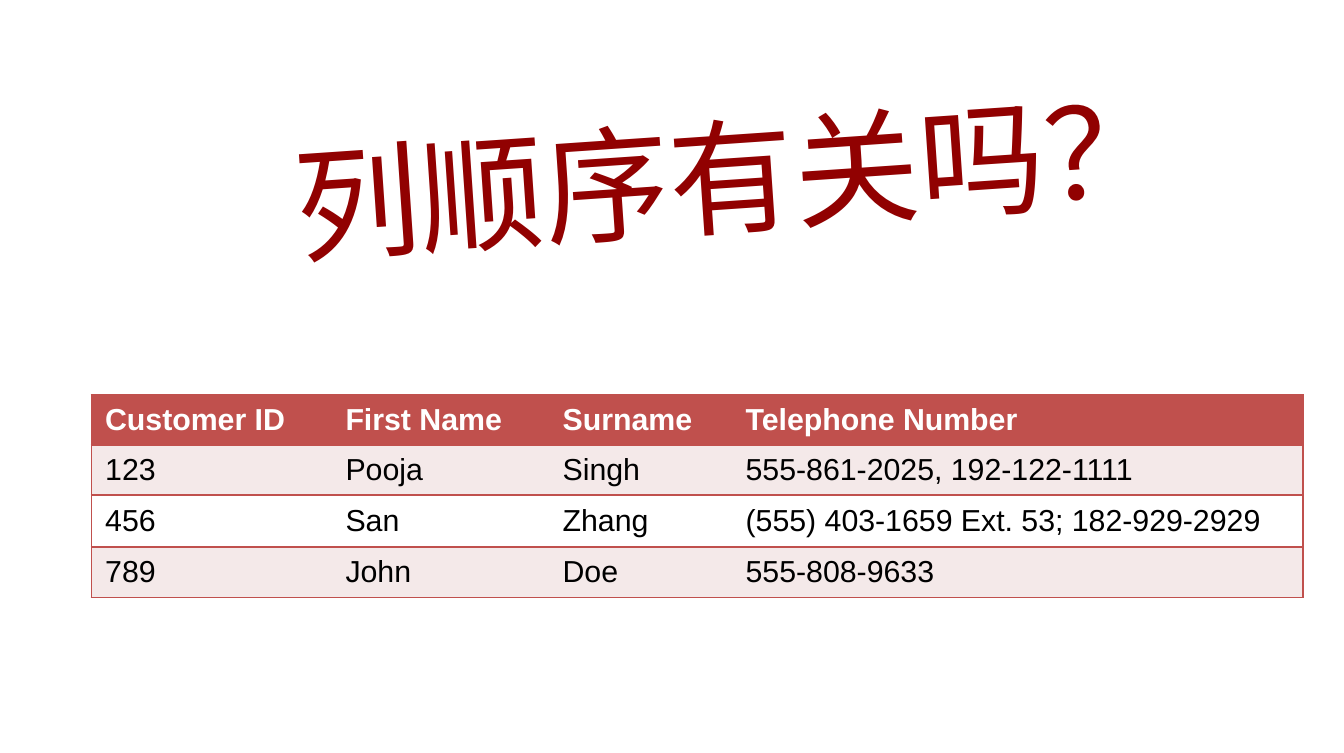
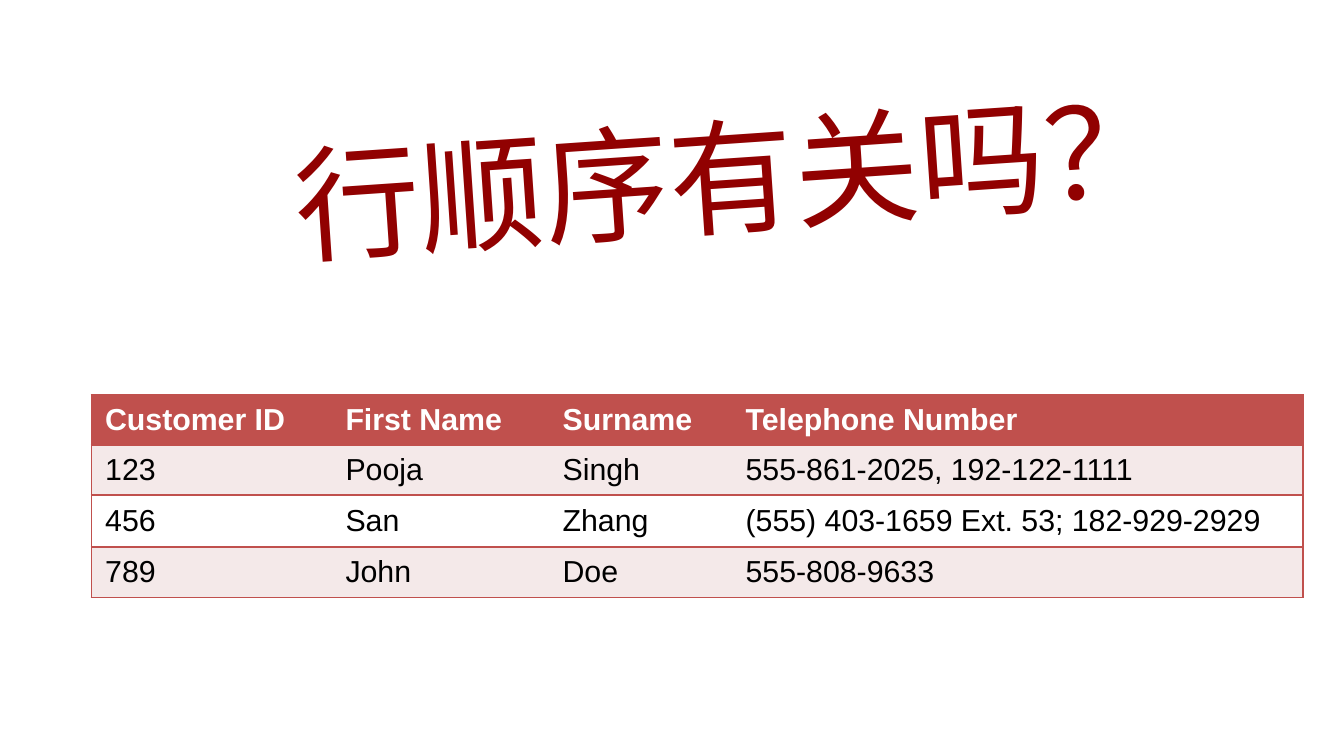
"""Builds two slides that ask whether column and row order matter in a table."""
from pptx import Presentation
from pptx.dml.color import RGBColor
from pptx.enum.text import MSO_ANCHOR, MSO_AUTO_SIZE, PP_ALIGN
from pptx.oxml import parse_xml
from pptx.oxml.ns import nsdecls
from pptx.util import Inches, Pt

QUESTIONS = ["列顺序有关吗？", "行顺序有关吗？"]
CUSTOMERS = [
    ("Customer ID", "First Name", "Surname", "Telephone Number"),
    ("123", "Pooja", "Singh", "555-861-2025, 192-122-1111"),
    ("456", "San", "Zhang", "(555) 403-1659 Ext. 53; 182-929-2929"),
    ("789", "John", "Doe", "555-808-9633"),
]
COLUMN_WIDTHS = [1.76, 1.59, 1.34, 4.18]
ROW_HEIGHTS = [0.36, 0.34, 0.38, 0.35]
FONT = "Arial"
TITLE_RED, HEADER_RED, BAND_PINK = "910101", "C0504D", "F4E9E9"
WHITE, BLACK = "FFFFFF", "000000"


def color(value):
    return RGBColor.from_string(value)


def style_text(paragraph, size, value, bold=False):
    font = paragraph.font
    font.name, font.size, font.bold = FONT, Pt(size), bold
    font.color.rgb = color(value)


def set_borders(cell, visible_sides):
    properties = cell._tc.get_or_add_tcPr()
    for position, side in enumerate("LRTB"):
        if side in visible_sides:
            paint = f'<a:solidFill><a:srgbClr val="{HEADER_RED}"/></a:solidFill>'
        else:
            paint = "<a:noFill/>"
        line = parse_xml(f'<a:ln{side} {nsdecls("a")} w="{Pt(1)}">{paint}</a:ln{side}>')
        properties.insert(position, line)


def add_question(slide, question):
    title = slide.shapes.title
    title.left, title.top = Inches(2.05), Inches(0.67)
    title.width, title.height = Inches(6.68), Inches(1.21)
    title.rotation = 356.1
    frame = title.text_frame
    frame.text = question
    frame.word_wrap = False
    frame.auto_size = MSO_AUTO_SIZE.SHAPE_TO_FIT_TEXT
    frame.vertical_anchor = MSO_ANCHOR.TOP
    paragraph = frame.paragraphs[0]
    paragraph.alignment = PP_ALIGN.LEFT
    style_text(paragraph, 66, TITLE_RED)


def add_customer_table(slide):
    table = slide.shapes.add_table(
        len(CUSTOMERS), len(COLUMN_WIDTHS), Inches(0.67), Inches(2.89),
        Inches(sum(COLUMN_WIDTHS)), Inches(sum(ROW_HEIGHTS))).table
    for column, width in zip(table.columns, COLUMN_WIDTHS):
        column.width = Inches(width)
    for row, height in zip(table.rows, ROW_HEIGHTS):
        row.height = Inches(height)
    last_column = len(COLUMN_WIDTHS) - 1
    for row_index, customer in enumerate(CUSTOMERS):
        is_header = row_index == 0
        fill = HEADER_RED if is_header else BAND_PINK if row_index % 2 else WHITE
        for column_index, text in enumerate(customer):
            cell = table.cell(row_index, column_index)
            cell.text = text
            cell.vertical_anchor = MSO_ANCHOR.MIDDLE
            cell.fill.solid()
            cell.fill.fore_color.rgb = color(fill)
            style_text(cell.text_frame.paragraphs[0], 16,
                       WHITE if is_header else BLACK, is_header)
            outer_side = {0: "L", last_column: "R"}.get(column_index, "")
            set_borders(cell, "TB" + outer_side)


def main():
    presentation = Presentation()
    presentation.slide_width, presentation.slide_height = Inches(9.84), Inches(5.51)
    title_only = presentation.slide_layouts[5]
    for question in QUESTIONS:
        slide = presentation.slides.add_slide(title_only)
        add_customer_table(slide)
        add_question(slide, question)
    presentation.save("out.pptx")


if __name__ == "__main__":
    main()
